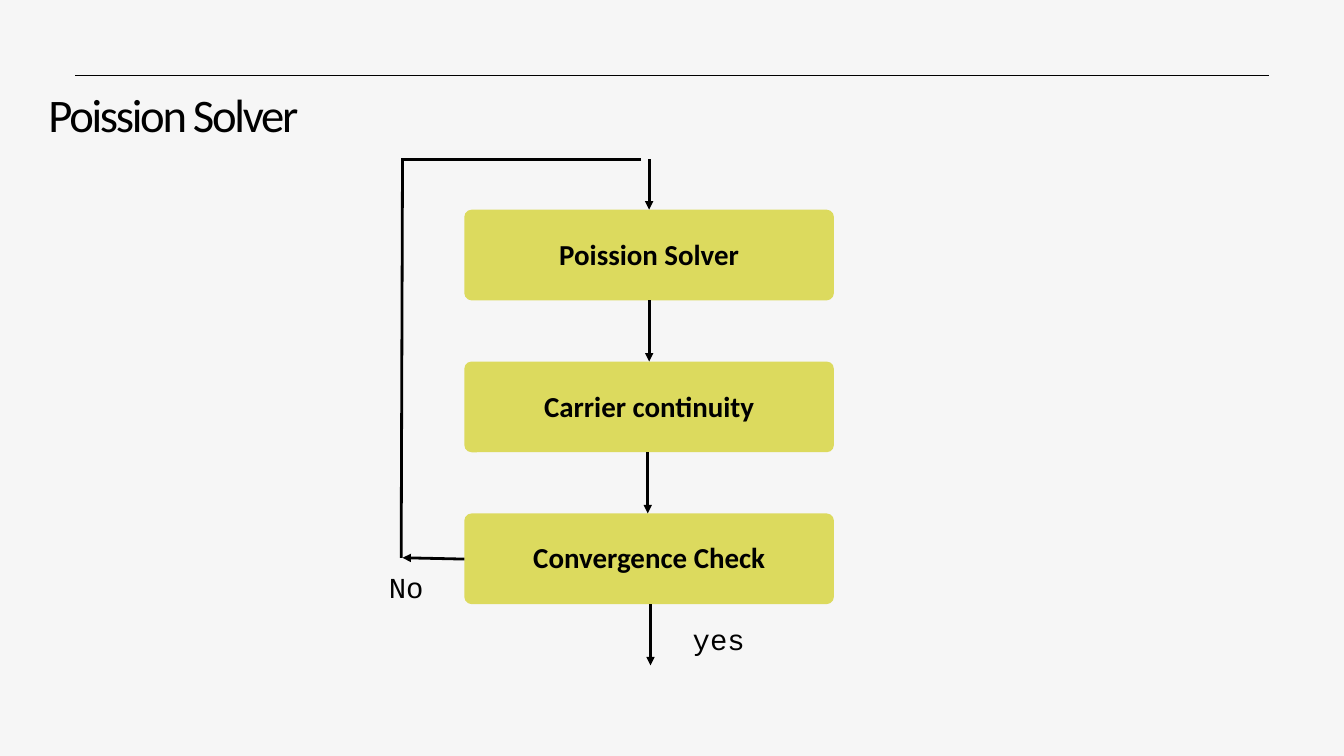
from dataclasses import dataclass

from lxml import etree
from pptx import Presentation
from pptx import util as u
from pptx.dml.color import RGBColor
from pptx.enum import shapes, text
from pptx.oxml import ns

WIDTH, HEIGHT = u.Inches(20), u.Inches(11.25)
COLUMN, ROW = WIDTH / 20, HEIGHT / 11.25
INK, PAPER, STEP_FILL = "000000", "F6F6F6", "DCDA5E"

STEP_LEFT, STEP_TOP, STEP_WIDTH, STEP_HEIGHT, STEP_PITCH = 6.91, 3.12, 5.5, 1.35, 2.26
STEPS = ["Poission Solver", "Carrier continuity", "Convergence Check"]
LOOP_TOP, LOOP_BOTTOM, LOOP_LEFT = 2.37, 8.3, 5.97


@dataclass(frozen=True)
class Flow:
    start: tuple[float, float]
    end: tuple[float, float]
    arrow: bool = True
    weight: float = 3


@dataclass(frozen=True)
class Answer:
    wording: str
    left: float
    top: float


def step_top(index: int) -> float:
    return STEP_TOP + index * STEP_PITCH


def step_bottom(index: int) -> float:
    return step_top(index) + STEP_HEIGHT


FLOWS = [
    Flow((1.12, 1.12), (18.88, 1.12), arrow=False, weight=0.75),
    Flow((9.66, LOOP_TOP), (9.66, step_top(0))),
    Flow((9.66, step_bottom(0)), (9.66, step_top(1))),
    Flow((9.64, step_bottom(1)), (9.64, step_top(2))),
    Flow((9.68, step_bottom(2)), (9.68, step_top(3))),
    Flow((STEP_LEFT, 8.32), (5.99, LOOP_BOTTOM)),
    Flow((5.99, LOOP_TOP), (LOOP_LEFT, LOOP_BOTTOM), arrow=False),
    Flow((9.54, LOOP_TOP), (LOOP_LEFT, LOOP_TOP), arrow=False),
]
ANSWERS = [Answer("yes", 10.05, 9.15), Answer("No", 5.4, 8.38)]


def colour(value: str) -> RGBColor:
    return RGBColor.from_string(value)


def place(left: float, top: float, width: float, height: float) -> list[int]:
    return [round(left * COLUMN), round(top * ROW), round(width * COLUMN), round(height * ROW)]


def write(frame, wording: str, *, size: float = 31, font: str = "Calibri", bold: bool = False,
          leading: float = 37.2, tracking: float = 0, inset: float = 0.06,
          align=text.PP_ALIGN.CENTER, anchor=text.MSO_ANCHOR.MIDDLE) -> None:
    frame.word_wrap = True
    frame.vertical_anchor = anchor
    frame.margin_left = frame.margin_right = u.Inches(inset)
    frame.margin_top = frame.margin_bottom = u.Inches(inset)
    paragraph = frame.paragraphs[0]
    paragraph.alignment = align
    paragraph.line_spacing = u.Pt(leading)
    run = paragraph.add_run()
    run.text = wording
    run.font.name, run.font.size, run.font.bold = font, u.Pt(size), bold
    run.font.color.rgb = colour(INK)
    if tracking:
        run.font._element.set("spc", str(round(tracking * 100)))


def draw_title(slide, wording: str) -> None:
    title = slide.shapes.title
    title.left, title.top, title.width, title.height = place(0.72, 1.28, 11.69, 0.84)
    write(title.text_frame, wording, size=50, leading=60, tracking=-2.5, inset=0,
          align=text.PP_ALIGN.LEFT, anchor=text.MSO_ANCHOR.TOP)


def draw_step(slide, index: int, wording: str) -> None:
    step = slide.shapes.add_shape(shapes.MSO_SHAPE.ROUNDED_RECTANGLE,
                                  *place(STEP_LEFT, step_top(index), STEP_WIDTH, STEP_HEIGHT))
    step.adjustments[0] = 0.08
    step.shadow.inherit = False
    step.fill.solid()
    step.fill.fore_color.rgb = colour(STEP_FILL)
    step.line.fill.background()
    write(step.text_frame, wording, bold=True)
    step.text_frame.margin_bottom = u.Inches(0.1)


def draw_flow(slide, flow: Flow) -> None:
    connector = slide.shapes.add_connector(shapes.MSO_CONNECTOR.STRAIGHT,
                                           *place(*flow.start, *flow.end))
    connector.line.color.rgb = colour(INK)
    connector.line.width = u.Pt(flow.weight)
    if flow.arrow:
        etree.SubElement(connector.line._get_or_add_ln(), ns.qn("a:tailEnd"), type="triangle")
    etree.SubElement(connector._element.spPr, ns.qn("a:effectLst"))


def draw_answer(slide, answer: Answer) -> None:
    box = slide.shapes.add_textbox(*place(answer.left, answer.top, 1.29, 0.71))
    write(box.text_frame, answer.wording, font="Courier New")


def main() -> None:
    deck = Presentation()
    deck.slide_width, deck.slide_height = WIDTH, HEIGHT
    slide = deck.slides.add_slide(deck.slide_layouts.get_by_name("Title Only"))
    slide.background.fill.solid()
    slide.background.fill.fore_color.rgb = colour(PAPER)
    draw_title(slide, "Poission Solver")
    for index, wording in enumerate(STEPS):
        draw_step(slide, index, wording)
    for flow in FLOWS:
        draw_flow(slide, flow)
    for answer in ANSWERS:
        draw_answer(slide, answer)
    deck.save("out.pptx")


if __name__ == "__main__":
    main()
